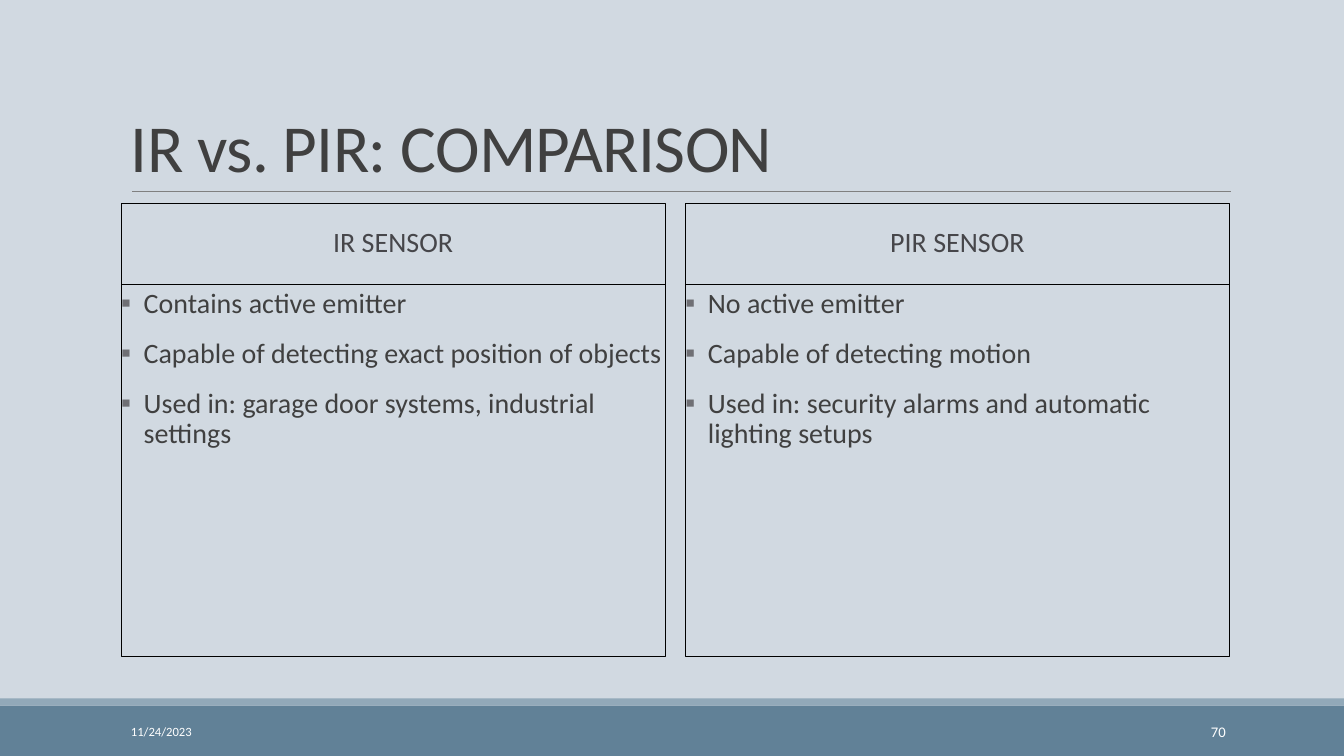
import pptx
import pptx.dml.color
import pptx.enum.shapes
import pptx.enum.text
import pptx.oxml
import pptx.oxml.ns
import pptx.util
from dataclasses import dataclass

Cm = pptx.util.Cm
Pt = pptx.util.Pt
ALIGN = pptx.enum.text.PP_ALIGN
ANCHOR = pptx.enum.text.MSO_ANCHOR


@dataclass(frozen=True)
class Theme:
    font: str = "Calibri"
    background: str = "D1D9E1"
    footer: str = "618197"
    strip: str = "92A9B9"
    rule: str = "808080"
    border: str = "000000"
    text: str = "404040"
    heading: str = "46464A"
    bullet: str = "6F6F74"
    light: str = "FFFFFF"
    title_size: float = 48
    body_size: float = 20
    date_size: float = 9
    number_size: float = 10.5


THEME = Theme()
SENSORS = [
    ("IR SENSOR", ["Contains active emitter",
                   "Capable of detecting exact position of objects",
                   "Used in: garage door systems, industrial settings"]),
    ("PIR SENSOR", ["No active emitter",
                    "Capable of detecting motion",
                    "Used in: security alarms and automatic lighting setups"]),
]


def rgb(value):
    return pptx.dml.color.RGBColor.from_string(value)


def add_child(parent, tag, **attributes):
    child = pptx.oxml.ns.qn(tag)
    element = parent.makeelement(child, attributes)
    parent.append(element)
    return element


def add_bullet(paragraph):
    properties = paragraph._p.get_or_add_pPr()
    properties.set("marL", str(Cm(0.57)))
    properties.set("indent", str(-Cm(0.57)))
    add_child(add_child(properties, "a:buClr"), "a:srgbClr", val=THEME.bullet)
    add_child(properties, "a:buFont", typeface=THEME.font)
    add_child(properties, "a:buChar", char="▪")


def write(frame, lines, size, color, align=ALIGN.LEFT, anchor=ANCHOR.TOP,
          spacing=1.0, before=0, after=0, bullets=False, tracking=None, side=0.25):
    frame.word_wrap = True
    frame.auto_size = pptx.enum.text.MSO_AUTO_SIZE.NONE
    frame.vertical_anchor = anchor
    frame.margin_left = frame.margin_right = Cm(side)
    frame.margin_top = frame.margin_bottom = Cm(0.13)
    for index, line in enumerate(lines):
        paragraph = frame.add_paragraph() if index else frame.paragraphs[0]
        if bullets:
            add_bullet(paragraph)
        paragraph.alignment = align
        paragraph.line_spacing = spacing
        paragraph.space_before = Pt(before if index else 0)
        paragraph.space_after = Pt(after)
        run = paragraph.add_run()
        run.text = line
        run.font.name = THEME.font
        run.font.size = Pt(size)
        run.font.bold = False
        run.font.color.rgb = rgb(color)
        if tracking is not None:
            run.font._element.set("spc", str(tracking))


def place(shape, left, top, width, height):
    shape.left, shape.top = Cm(left), Cm(top)
    shape.width, shape.height = Cm(width), Cm(height)


def outline(shape):
    shape.fill.background()
    shape.line.color.rgb = rgb(THEME.border)
    shape.line.width = Pt(0.75)


def add_band(slide, left, top, width, height, color):
    band = slide.shapes.add_shape(pptx.enum.shapes.MSO_SHAPE.RECTANGLE,
                                  Cm(left), Cm(top), Cm(width), Cm(height))
    band.shadow.inherit = False
    band.fill.solid()
    band.fill.fore_color.rgb = rgb(color)
    band.line.fill.background()


def add_title(slide, left, top, width, height):
    title = slide.shapes.title
    place(title, left, top, width, height)
    write(title.text_frame, ["IR vs. PIR: COMPARISON"], THEME.title_size, THEME.text,
          anchor=ANCHOR.BOTTOM, spacing=0.85, tracking=-50)
    bottom = Cm(top + height)
    rule = slide.shapes.add_connector(pptx.enum.shapes.MSO_CONNECTOR.STRAIGHT,
                                      Cm(left + 0.28), bottom, Cm(left + 27.96), bottom)
    rule.line.color.rgb = rgb(THEME.rule)
    rule.line.width = Pt(0.5)
    add_child(rule._element.spPr, "a:effectLst")


def add_sensor(heading, points, sensor, left, top, width, height):
    name, features = sensor
    heading_height = 2.05
    place(heading, left, top, width, heading_height)
    place(points, left, top + heading_height, width, height - heading_height)
    outline(heading)
    outline(points)
    write(heading.text_frame, [name], THEME.body_size, THEME.heading, align=ALIGN.CENTER,
          anchor=ANCHOR.MIDDLE, spacing=0.9)
    write(points.text_frame, features, THEME.body_size, THEME.text, spacing=0.9,
          before=12, after=2, bullets=True, side=0)


def add_comparison(slide, left, top, width, height):
    gap = 0.5
    column = (width - gap) / len(SENSORS)
    for index, sensor in enumerate(SENSORS):
        heading = slide.placeholders[2 * index + 1]
        points = slide.placeholders[2 * index + 2]
        add_sensor(heading, points, sensor, left + index * (column + gap), top, column, height)


def add_footer(slide, left, top, width, height):
    strip_height = 0.18
    add_band(slide, left, top + strip_height, width, height - strip_height, THEME.footer)
    add_band(slide, left, top, width, strip_height, THEME.strip)
    for label, offset, extent, size, align in (
            ("11/24/2023", 3.05, 6.86, THEME.date_size, ALIGN.LEFT),
            ("70", 27.51, 3.63, THEME.number_size, ALIGN.RIGHT)):
        box = slide.shapes.add_textbox(Cm(left + offset), Cm(top + 0.33), Cm(extent), Cm(1.02))
        write(box.text_frame, [label], size, THEME.light, align=align, anchor=ANCHOR.MIDDLE)


def main():
    deck = pptx.Presentation()
    deck.slide_width, deck.slide_height = Cm(33.87), Cm(19.05)
    slide = deck.slides.add_slide(deck.slide_layouts.get_by_name("Comparison"))
    slide.background.fill.solid()
    slide.background.fill.fore_color.rgb = rgb(THEME.background)
    add_footer(slide, 0, 17.6, 33.87, 1.45)
    add_title(slide, 3.05, 0.79, 27.94, 4.04)
    add_comparison(slide, 3.05, 5.12, 27.94, 11.42)
    deck.save("out.pptx")


if __name__ == "__main__":
    main()
